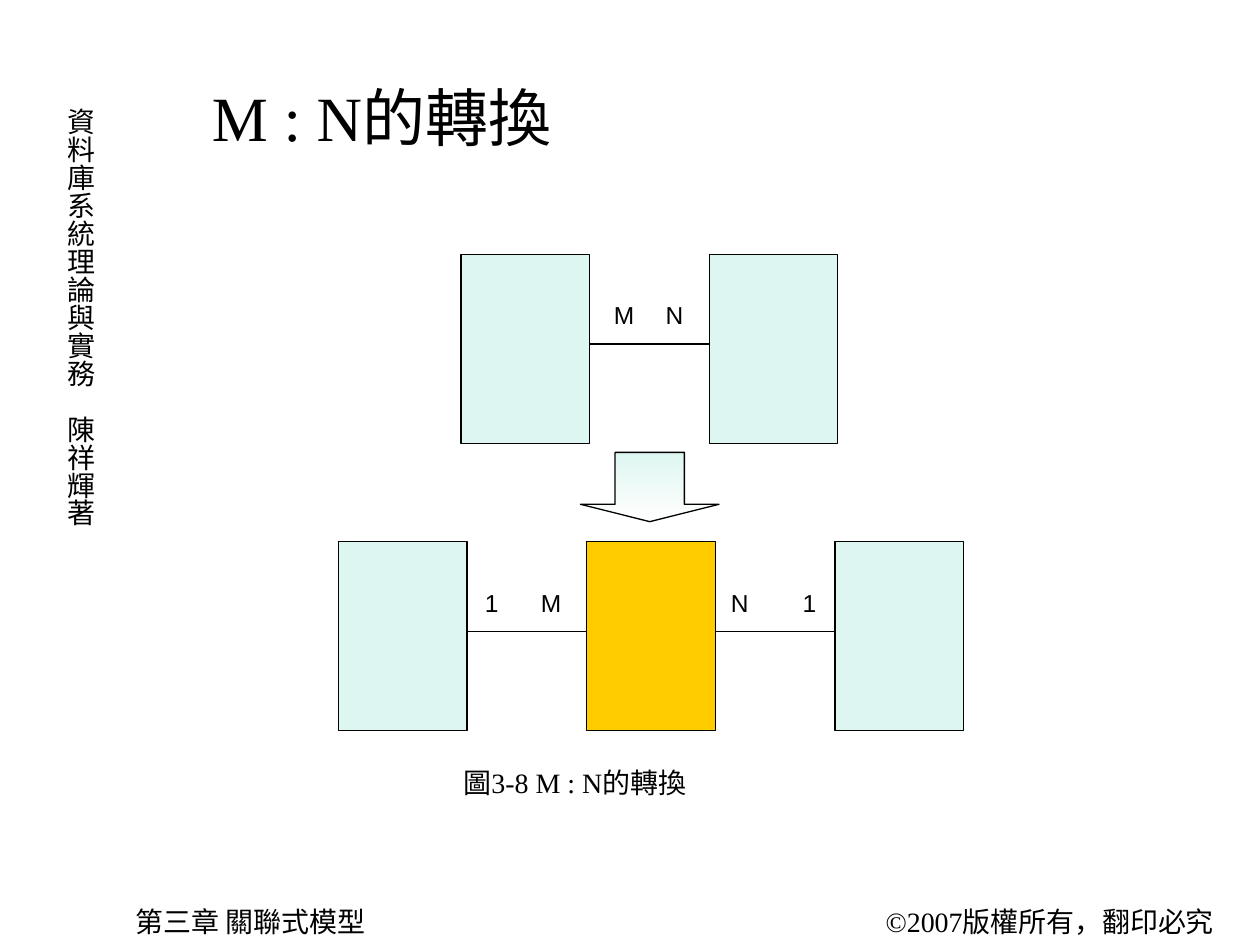
import pptx
import pptx.util
import pptx.dml.color
import pptx.enum.shapes
import pptx.enum.text
import pptx.oxml.ns
import lxml.etree

Pt = pptx.util.Pt
SHAPE = pptx.enum.shapes.MSO_SHAPE
ALIGN = pptx.enum.text.PP_ALIGN
FIT = pptx.enum.text.MSO_AUTO_SIZE
BLACK, MINT, GOLD, WHITE = "000000", "DEF6F1", "FFCC00", "FFFFFF"
SERIF, SANS = "Times New Roman", "Arial"
WIDE, HIGH, PITCH = 73.4, 108, 141.8


def tint(code):
    """Turn a hex string into a colour."""
    return pptx.dml.color.RGBColor.from_string(code)


def write(frame, text, size, face, align=ALIGN.LEFT):
    """Set and format the text of a frame."""
    frame.text = text
    frame.word_wrap = True
    para = frame.paragraphs[0]
    para.alignment = align
    font = para.runs[0].font
    font.size, font.name = Pt(size), face
    font.color.rgb = tint(BLACK)


def label(shapes, box, text, size=16, face=SERIF, align=ALIGN.LEFT):
    """Add a text box that fits its text."""
    item = shapes.add_textbox(*map(Pt, box))
    write(item.text_frame, text, size, face, align)
    item.text_frame.auto_size = FIT.SHAPE_TO_FIT_TEXT
    return item


def edge(item):
    """Give a shape or line a thin black stroke."""
    item.line.color.rgb = tint(BLACK)
    item.line.width = Pt(0.75)


def block(shapes, kind, box):
    """Add an outlined shape without shadow."""
    item = shapes.add_shape(kind, *map(Pt, box))
    item.shadow.inherit = False
    edge(item)
    return item


def link(shapes, left, top, width):
    """Add a level line without shadow."""
    item = shapes.add_connector(
        pptx.enum.shapes.MSO_CONNECTOR.STRAIGHT,
        Pt(left), Pt(top), Pt(left + width), Pt(top))
    edge(item)
    lxml.etree.SubElement(item._element.spPr, pptx.oxml.ns.qn("a:effectLst"))


def title(slide, box):
    """Place the slide title."""
    item = slide.shapes.title
    item.left, item.top, item.width, item.height = map(Pt, box)
    write(item.text_frame, "M : N的轉換", 36, SERIF)
    item.text_frame.auto_size = FIT.NONE
    item.text_frame.vertical_anchor = pptx.enum.text.MSO_ANCHOR.MIDDLE


def spine(slide, box):
    """Add the upright book title."""
    item = label(slide.shapes, box, "資料庫系統理論與實務\u3000陳祥輝著".replace("\u3000", "　"))
    frame = item.text_frame
    frame.margin_left = frame.margin_right = Pt(3.6)
    frame.margin_top = frame.margin_bottom = Pt(7.2)
    frame._txBody.bodyPr.set("vert", "eaVert")


def chain(slide, left, top, fills, marks):
    """Add a row of linked boxes with marks given as gap, offset and text."""
    shapes = slide.shapes.add_group_shape().shapes
    for step in range(len(fills) - 1):
        link(shapes, left + step * PITCH + WIDE - 16.6, top + 51.2, 113)
    for step, fill in enumerate(fills):
        item = block(shapes, SHAPE.RECTANGLE, (left + step * PITCH, top, WIDE, HIGH))
        item.fill.solid()
        item.fill.fore_color.rgb = tint(fill)
    for gap, shift, text in marks:
        start = left + gap * PITCH + WIDE + shift
        label(shapes, (start, top + 22.7, 28, 24.5), text, 14, SANS, ALIGN.CENTER)


def arrow(slide, box):
    """Add the shaded arrow between the rows."""
    item = block(slide.shapes, SHAPE.DOWN_ARROW, box)
    item.adjustments[0], item.adjustments[1] = 0.5, 0.25
    item.fill.gradient()
    item.fill.gradient_angle = 270
    for stop, code in zip(item.fill.gradient_stops, (MINT, WHITE)):
        stop.color.rgb = tint(code)


def main():
    """Build and save the slide."""
    deck = pptx.Presentation()
    deck.slide_width, deck.slide_height = Pt(720), Pt(540)
    slide = deck.slides.add_slide(deck.slide_layouts[5])
    spine(slide, (26, 54.7, 33, 256))
    label(slide.shapes, (499, 513.4, 218, 26.6), "©2007版權所有，翻印必究")
    label(slide.shapes, (70.6, 513.4, 284, 26.6), "第三章 關聯式模型")
    title(slide, (113.8, 21.6, 576, 90))
    arrow(slide, (331.7, 258.5, 79.2, 39.6))
    chain(slide, 263.5, 145.4, (MINT, MINT), ((0, 5.8, "M"), (0, 34.6, "N")))
    chain(slide, 193.5, 309.6, (MINT, GOLD, MINT),
          ((0, 0, "1"), (0, 34, "M"), (1, 0, "N"), (1, 39.8, "1")))
    label(slide.shapes, (257.8, 434.2, 294.5, 26.6), "圖3-8 M : N的轉換")
    deck.save("out.pptx")


if __name__ == "__main__":
    main()
